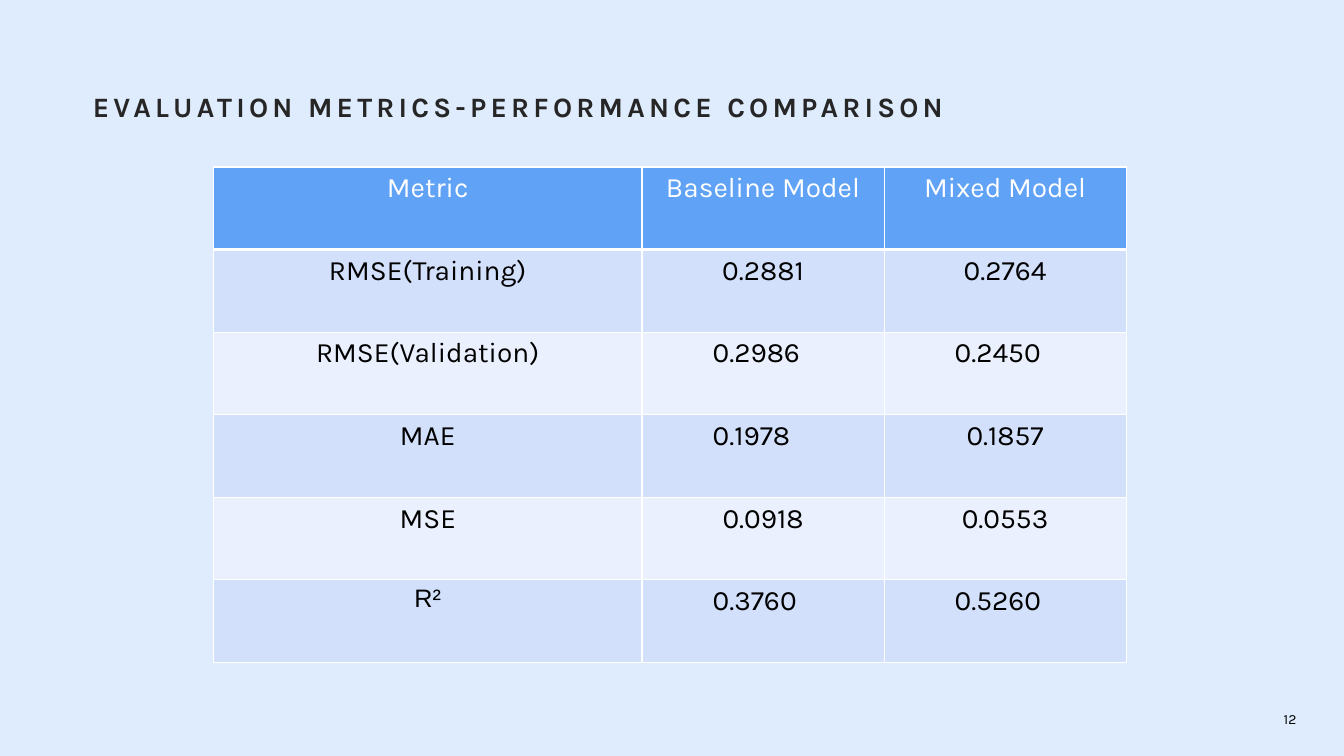
from lxml import etree
from pptx import Presentation
from pptx import util as u
from pptx.dml.color import RGBColor
from pptx.enum import text
from pptx.oxml import ns

TITLE = "EVALUATION METRICS-PERFORMANCE COMPARISON"
PAGE_NUMBER = "12"
# A trailing tab sets a value slightly left of its column's centre.
ROWS = [
    ("Metric", "Baseline Model", "Mixed Model"),
    ("RMSE(Training)", "0.2881", "0.2764"),
    ("RMSE(Validation)", "0.2986\t", "0.2450\t"),
    ("MAE", "0.1978\t", "0.1857"),
    ("MSE", "0.0918", "0.0553"),
    ("R²", "0.3760\t", "0.5260\t"),
]
COLUMN_WIDTHS = (10.8, 6.1, 6.1)
ROW_HEIGHT = 2.08
HEADER_FILL = "60A2F5"
BAND_FILLS = ("D2E0FB", "EAF0FD")
WHITE, BLACK = "FFFFFF", "000000"
ALIGN = text.PP_ALIGN


def color(hex_code):
    return RGBColor.from_string(hex_code)


def add_span(para, words, size, hex_code, font="Karla", bold=False):
    span = para.add_run()
    span.text = words
    span.font.name = font
    span.font.size = u.Pt(size)
    span.font.bold = bold
    span.font.color.rgb = color(hex_code)
    return span


def add_box(page, left, top, width, height, anchor):
    box = page.shapes.add_textbox(*map(u.Cm, (left, top, width, height)))
    frame = box.text_frame
    frame.word_wrap = True
    frame.vertical_anchor = anchor
    frame.margin_left = frame.margin_right = 0
    frame.margin_top = frame.margin_bottom = 0
    return frame.paragraphs[0]


def add_border(cell, side, points):
    """Draw one white cell edge; side is L, R, T or B."""
    properties = cell._tc.get_or_add_tcPr()
    line = etree.SubElement(properties, ns.qn("a:ln" + side), w=str(u.Pt(points)))
    fill = etree.SubElement(line, ns.qn("a:solidFill"))
    etree.SubElement(fill, ns.qn("a:srgbClr"), val=WHITE)


def style_cell(cell, row):
    for side in "LRTB":
        under_header = (row, side) in ((0, "B"), (1, "T"))
        add_border(cell, side, 3 if under_header else 1)
    cell.fill.solid()
    cell.fill.fore_color.rgb = color(BAND_FILLS[(row - 1) % 2] if row else HEADER_FILL)


def add_metrics(page):
    frame = page.shapes.add_table(
        len(ROWS), len(COLUMN_WIDTHS), u.Cm(5.38), u.Cm(4.21),
        u.Cm(sum(COLUMN_WIDTHS)), u.Cm(ROW_HEIGHT * len(ROWS)))
    table = frame.table
    for column, width in zip(table.columns, COLUMN_WIDTHS):
        column.width = u.Cm(width)
    for r, words in enumerate(ROWS):
        table.rows[r].height = u.Cm(ROW_HEIGHT)
        for c, word in enumerate(words):
            cell = table.cell(r, c)
            style_cell(cell, r)
            para = cell.text_frame.paragraphs[0]
            para.alignment = ALIGN.CENTER
            size, font = (18, "Arial") if word == "R²" else (20, "Karla")
            add_span(para, word, size, BLACK if r else WHITE, font)


def main():
    deck = Presentation()
    deck.slide_width, deck.slide_height = u.Cm(33.87), u.Cm(19.05)
    page = deck.slides.add_slide(deck.slide_layouts[6])
    page.background.fill.solid()
    page.background.fill.fore_color.rgb = color("DFECFD")

    title = add_box(page, 2.34, 2.34, 29.11, 1.55, text.MSO_ANCHOR.TOP)
    title.line_spacing = 0.9
    span = add_span(title, TITLE, 20, "262626", bold=True)
    span.font._element.set("spc", "300")

    add_metrics(page)

    number = add_box(page, 30.33, 17.73, 2.34, 0.79, text.MSO_ANCHOR.MIDDLE)
    number.alignment = ALIGN.RIGHT
    add_span(number, PAGE_NUMBER, 10, BLACK)
    deck.save("out.pptx")


if __name__ == "__main__":
    main()
